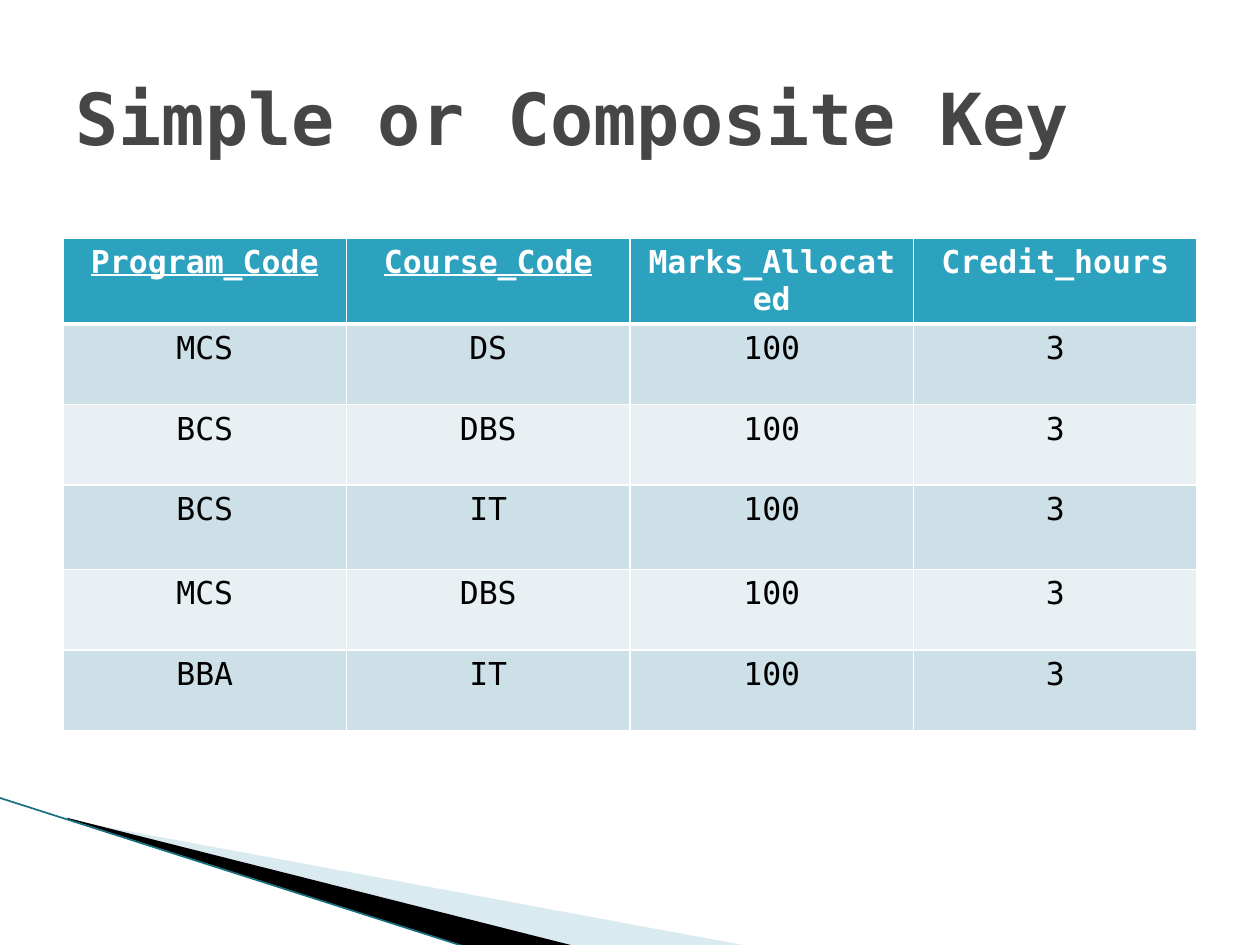
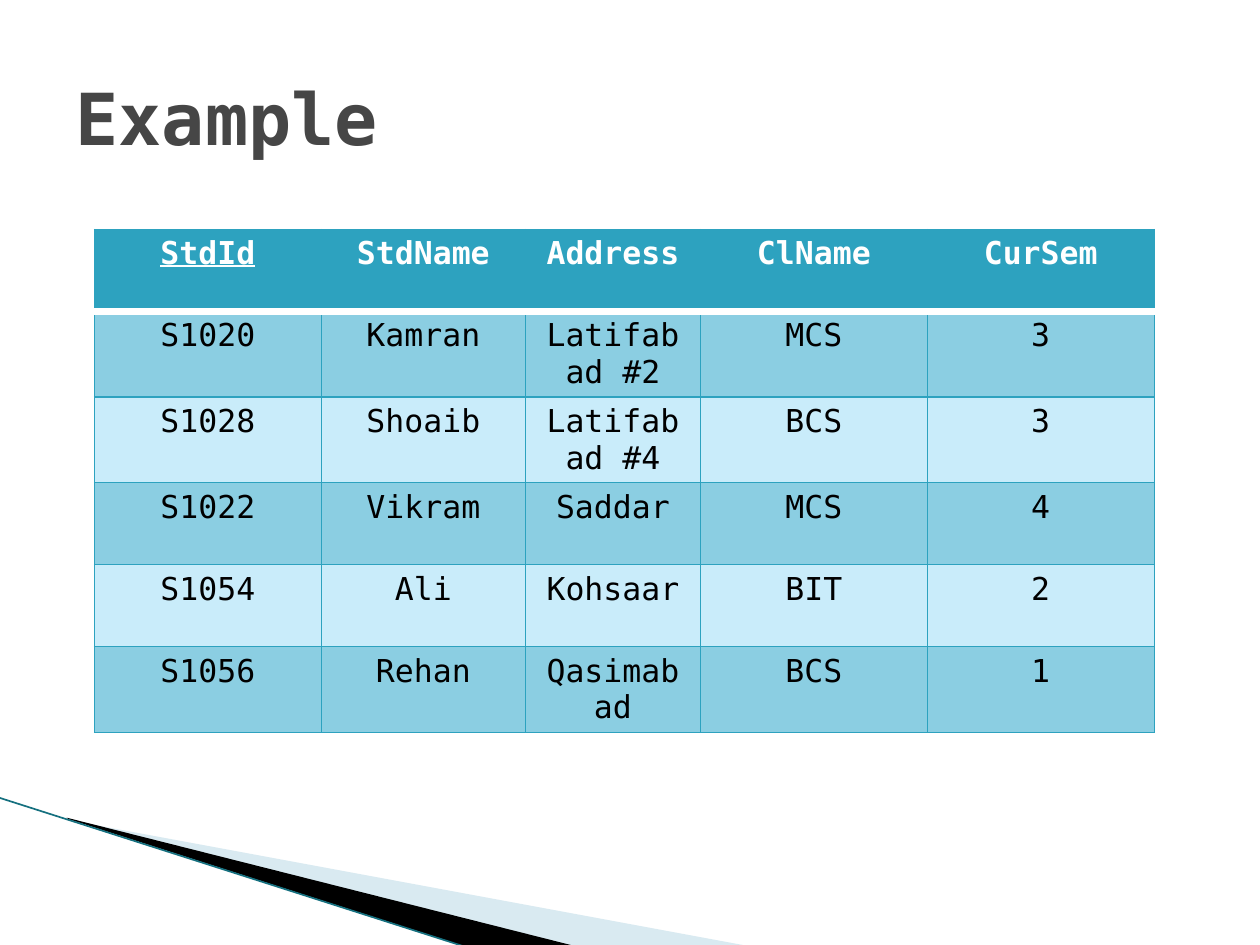
import pptx
import pptx.util
import pptx.dml.color
import pptx.enum.shapes
import pptx.enum.text
import pptx.oxml
import pptx.oxml.ns
import lxml.etree

Inches = pptx.util.Inches
Pt = pptx.util.Pt
qn = pptx.oxml.ns.qn
FONT = "DejaVu Sans Mono"
COLORS = {
    "title": "464646",
    "text": "000000",
    "white": "FFFFFF",
    "teal": "2DA2BF",
    "wedge_light": "A0CBDC",
    "wedge_dark": "000000",
    "edge": "15707F",
    "grey_band": "CDE0E8",
    "grey_pale": "E8F0F4",
    "blue_band": "8BCEE2",
    "blue_pale": "C9ECFA",
}


def rgb(name):
    return pptx.dml.color.RGBColor.from_string(COLORS[name])


def add_xml(parent, tag, **attrs):
    return lxml.etree.SubElement(parent, qn(tag), attrs)


class Deck:
    def __init__(self):
        self.prs = pptx.Presentation()
        self.prs.slide_width = Inches(10)
        self.prs.slide_height = Inches(7.5)
        self.slide = None

    def add_slide(self, title):
        self.slide = self.prs.slides.add_slide(self.prs.slide_layouts[5])
        self.wedge([(0.55, 6.51), (5.95, 7.51), (4.56, 7.51), (0.55, 6.5)],
                   (0.78, 5.47, 4.16, 1.58), "wedge_light", 40)
        self.wedge([(0.53, 6.49), (4.57, 7.51), (3.72, 7.52), (0.54, 6.5)],
                   (-0.06, 6.33, 4.16, 0.92), "wedge_dark")
        self.line((-0.01, 6.33), (3.71, 7.52), "edge", 0.95)
        self.title(title)

    def style(self, r, size, color, bold=False, underline=False):
        r.font.name = FONT
        r.font.size = Pt(size)
        r.font.color.rgb = rgb(color)
        r.font.bold = bold
        r.font.underline = underline

    def title(self, text):
        sp = self.slide.shapes.title
        sp.left, sp.top = Inches(0.5), Inches(0.3)
        sp.width, sp.height = Inches(9), Inches(1.25)
        tf = sp.text_frame
        tf.text = text
        tf.auto_size = pptx.enum.text.MSO_AUTO_SIZE.NONE
        tf.vertical_anchor = pptx.enum.text.MSO_ANCHOR.MIDDLE
        p = tf.paragraphs[0]
        p.alignment = pptx.enum.text.PP_ALIGN.LEFT
        self.style(p.runs[0], 41, "title", bold=True)

    def wedge(self, points, frame, color, alpha=100):
        points = [(Inches(x), Inches(y)) for x, y in points]
        builder = self.slide.shapes.build_freeform(*points[0], scale=1.0)
        builder.add_line_segments(points[1:], close=True)
        sp = builder.convert_to_shape()
        self.set_frame(sp, *[Inches(v) for v in frame])
        sp.shadow.inherit = False
        sp.line.fill.background()
        sp.fill.solid()
        sp.fill.fore_color.rgb = rgb(color)
        if alpha < 100:
            clr = sp._element.spPr.find(".//" + qn("a:srgbClr"))
            add_xml(clr, "a:alpha", val=str(alpha * 1000))

    def set_frame(self, sp, left, top, width, height):
        outline = sp._element.spPr.find(".//" + qn("a:path"))
        for pt in outline.iter(qn("a:pt")):
            pt.set("x", str(int(pt.get("x")) + sp.left - left))
            pt.set("y", str(int(pt.get("y")) + sp.top - top))
        outline.set("w", str(width))
        outline.set("h", str(height))
        sp.left, sp.top, sp.width, sp.height = left, top, width, height

    def line(self, start, end, color, width):
        ends = [Inches(v) for v in start + end]
        cxn = self.slide.shapes.add_connector(
            pptx.enum.shapes.MSO_CONNECTOR.STRAIGHT, *ends)
        cxn.line.color.rgb = rgb(color)
        cxn.line.width = Pt(width)
        add_xml(cxn._element.spPr, "a:effectLst")

    def borders(self, cell, sides):
        tcPr = cell._tc.get_or_add_tcPr()
        for i, (side, (color, width)) in enumerate(sides.items()):
            ln = pptx.oxml.parse_xml(
                f'<a:ln{side} {pptx.oxml.ns.nsdecls("a")} w="{Pt(width)}">'
                f'<a:solidFill><a:srgbClr val="{COLORS[color]}"/></a:solidFill>'
                f'</a:ln{side}>')
            tcPr.insert(i, ln)

    def table(self, left, top, cols, heights, rows, keys, bands, border, rule):
        frame = self.slide.shapes.add_table(
            len(rows), len(cols), Inches(left), Inches(top),
            Inches(sum(cols)), Inches(sum(heights)))
        tbl = frame.table
        for col, width in zip(tbl.columns, cols):
            col.width = Inches(width)
        for row, height in zip(tbl.rows, heights):
            row.height = Inches(height)
        for i, row in enumerate(rows):
            head = i == 0
            for j, text in enumerate(row):
                cell = tbl.cell(i, j)
                cell.text = text
                cell.fill.solid()
                cell.fill.fore_color.rgb = rgb("teal" if head else bands[(i - 1) % 2])
                p = cell.text_frame.paragraphs[0]
                p.alignment = pptx.enum.text.PP_ALIGN.CENTER
                self.style(p.runs[0], 18, "white" if head else "text",
                           bold=head, underline=head and j in keys)
                sides = dict.fromkeys("LRTB", border)
                if head:
                    sides["B"] = ("white", rule)
                elif i == 1:
                    sides["T"] = ("white", rule)
                self.borders(cell, sides)


deck = Deck()

deck.add_slide("Simple or Composite Key")
courses = [("MCS", "DS"), ("BCS", "DBS"), ("BCS", "IT"), ("MCS", "DBS"), ("BBA", "IT")]
deck.table(
    0.5, 1.89, [2.25] * 4, [0.64, 0.64, 0.64, 0.67, 0.64, 0.64],
    [("Program_Code", "Course_Code", "Marks_Allocated", "Credit_hours")]
    + [(program, course, "100", "3") for program, course in courses],
    keys=(0, 1), bands=("grey_band", "grey_pale"), border=("white", 1), rule=3)

deck.add_slide("Example")
deck.table(
    0.75, 1.82, [1.8, 1.62, 1.39, 1.8, 1.8], [0.65] * 6,
    [
        ("StdId", "StdName", "Address", "ClName", "CurSem"),
        ("S1020", "Kamran", "Latifabad #2", "MCS", "3"),
        ("S1028", "Shoaib", "Latifabad #4", "BCS", "3"),
        ("S1022", "Vikram", "Saddar", "MCS", "4"),
        ("S1054", "Ali", "Kohsaar", "BIT", "2"),
        ("S1056", "Rehan", "Qasimabad", "BCS", "1"),
    ],
    keys=(0,), bands=("blue_band", "blue_pale"), border=("teal", 0.75), rule=4.33)

deck.prs.save("out.pptx")
